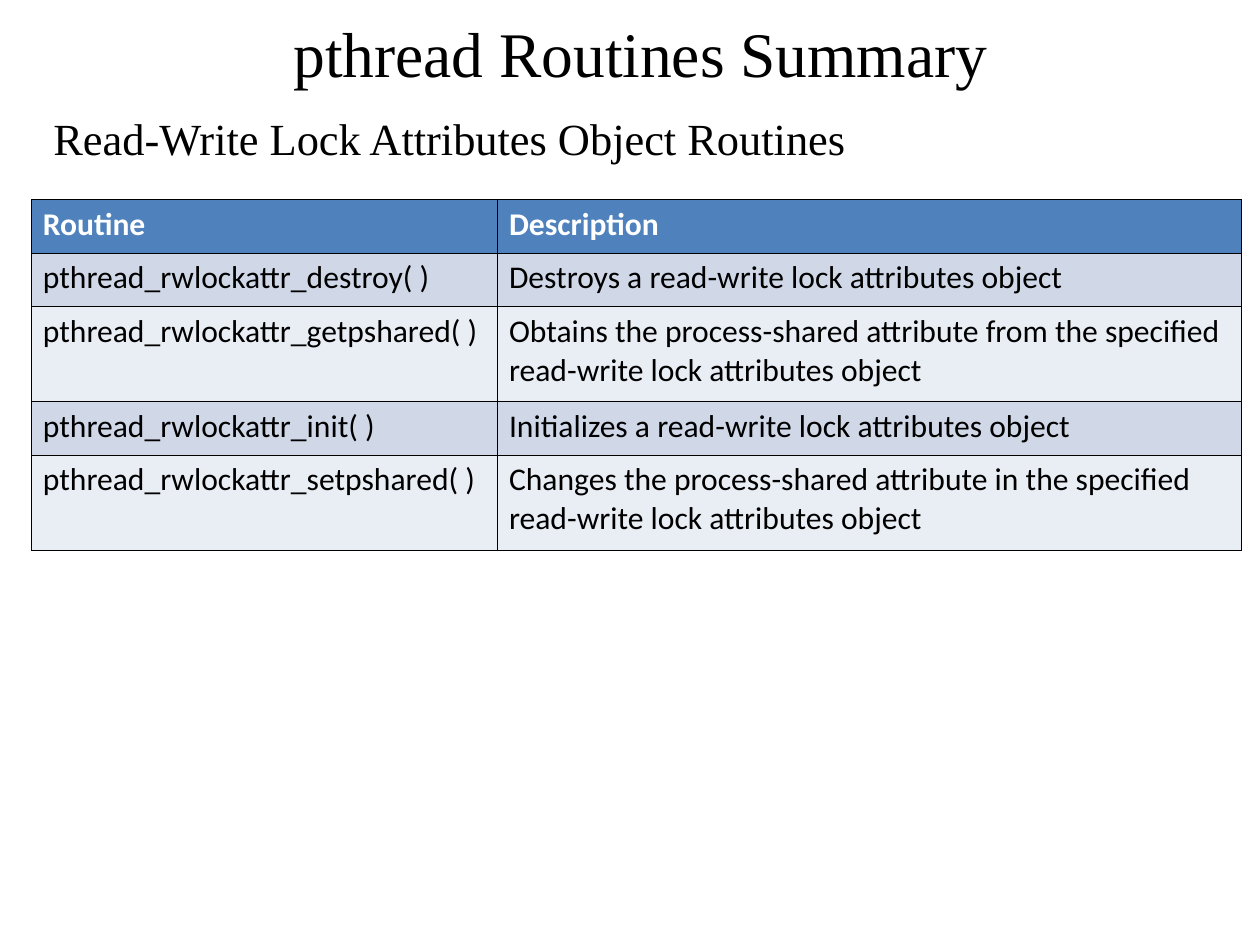
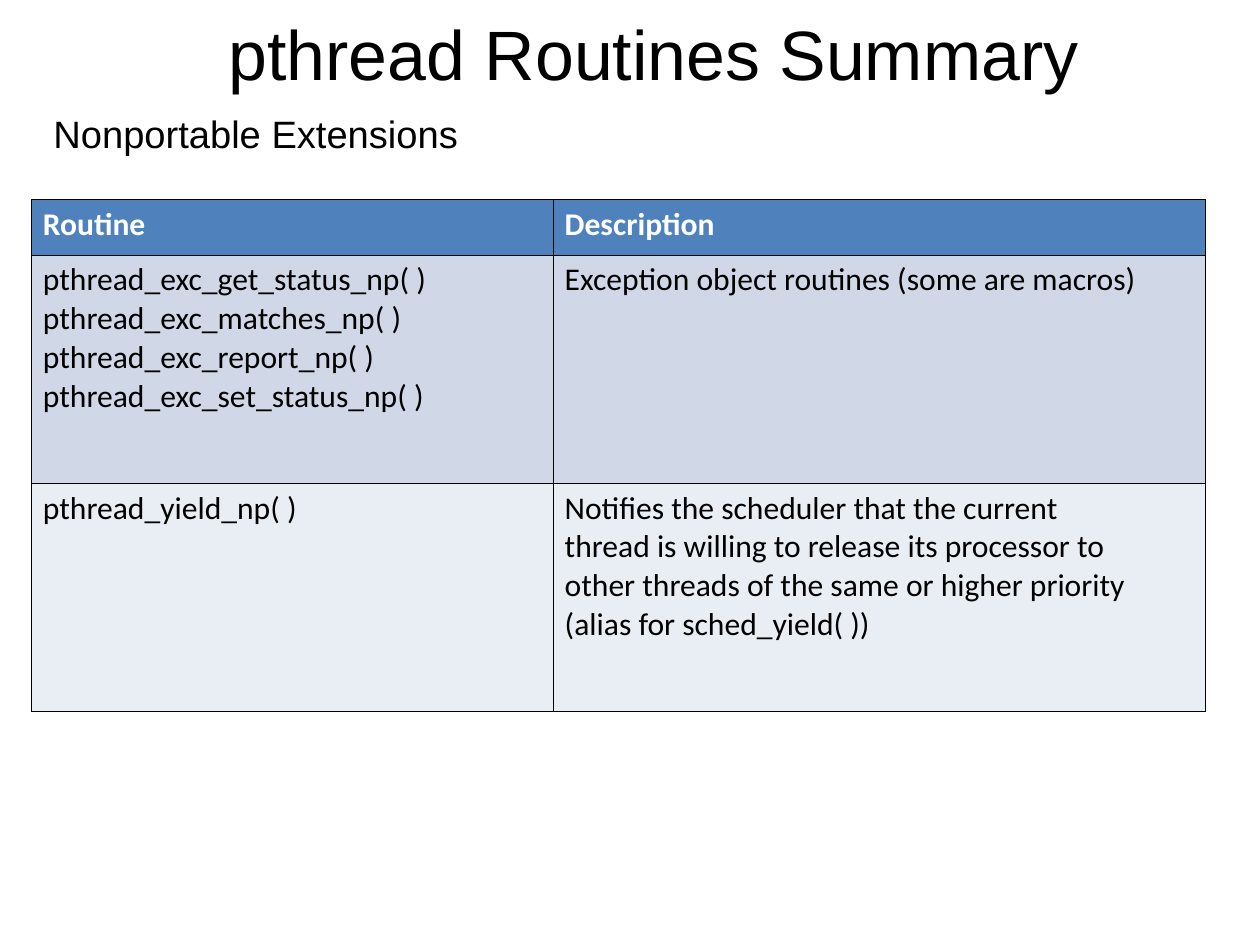
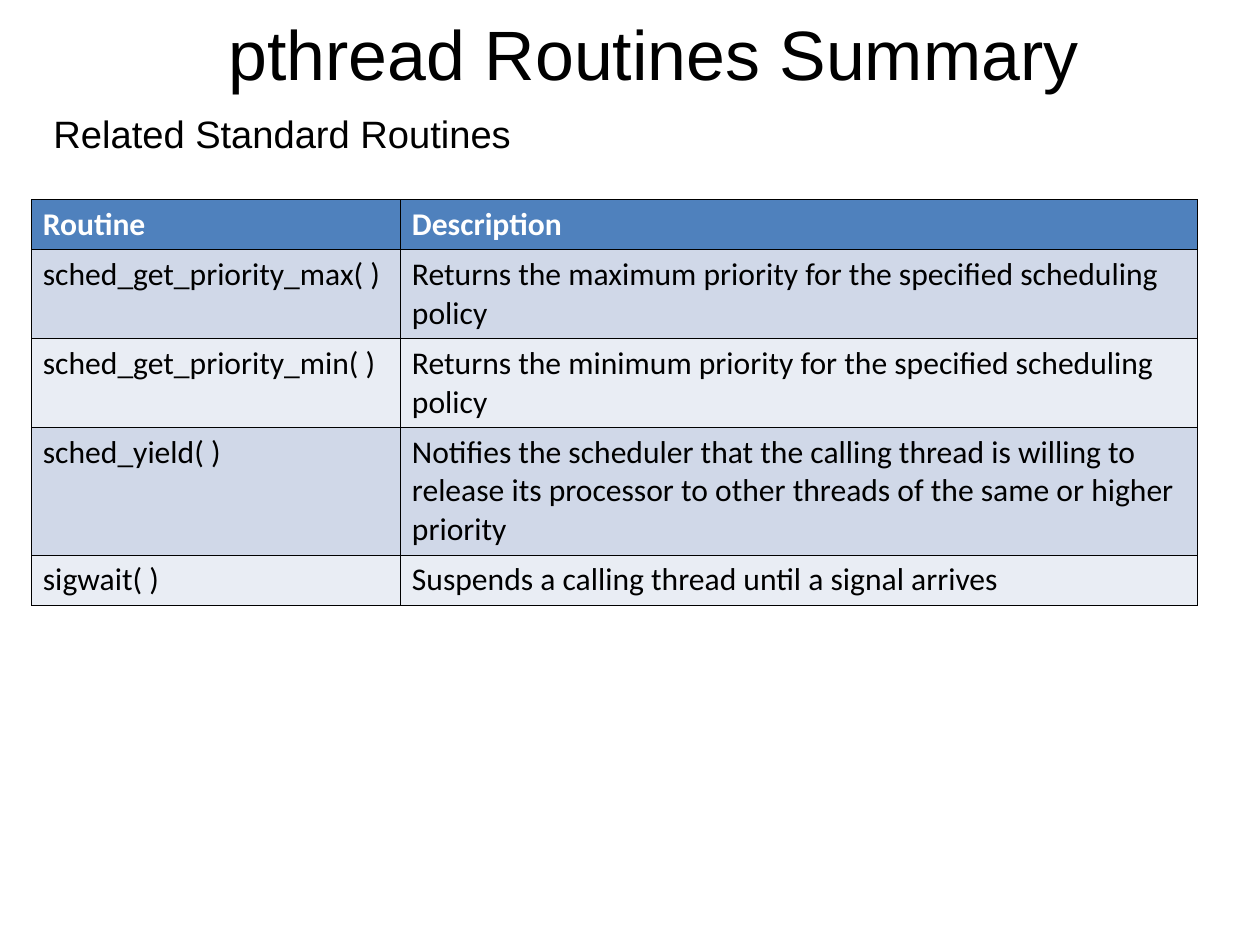
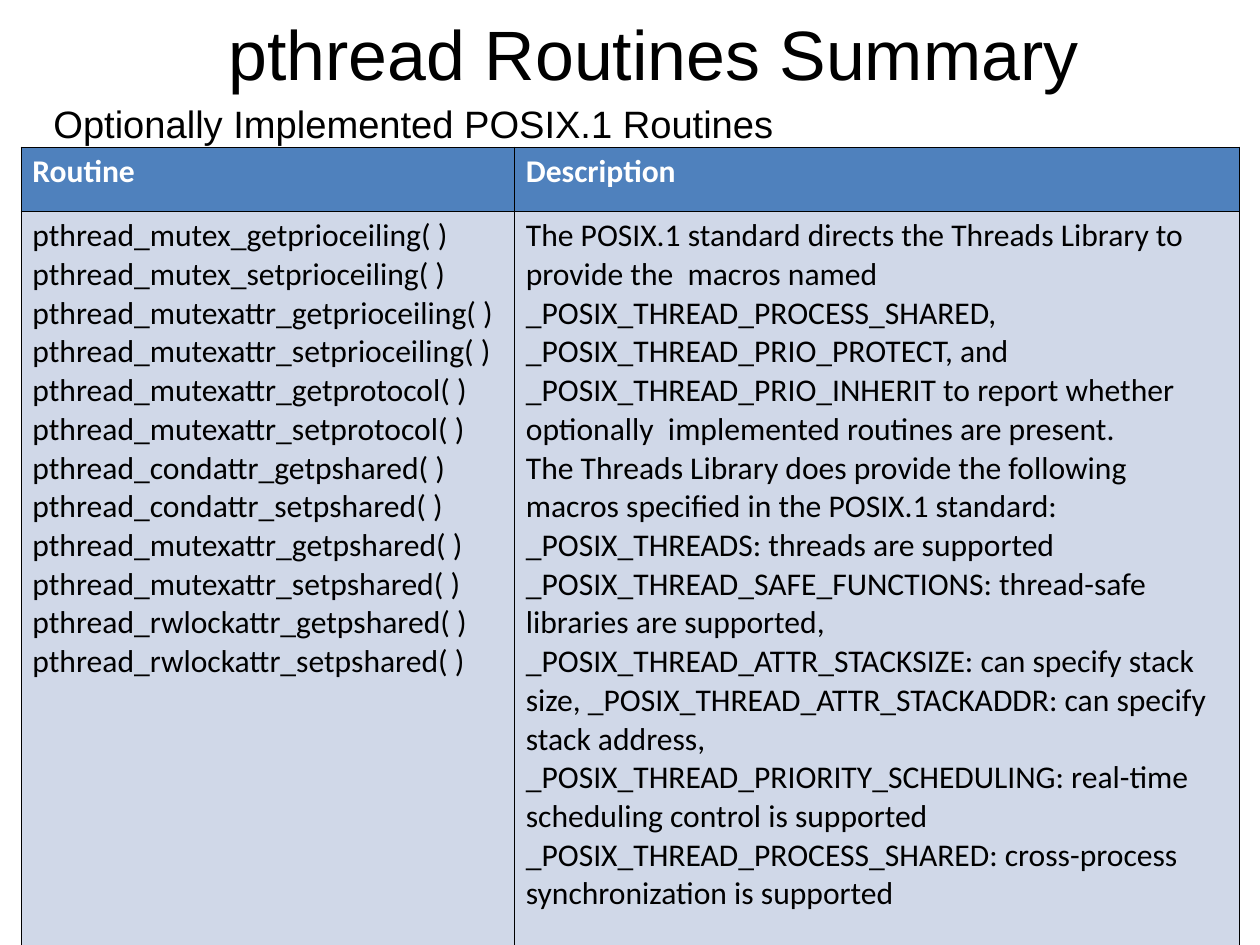
from lxml.etree import SubElement
from pptx import Presentation
from pptx.dml.color import RGBColor
from pptx.enum.text import MSO_ANCHOR, MSO_AUTO_SIZE, PP_ALIGN
from pptx.oxml import parse_xml
from pptx.oxml.ns import nsdecls, qn
from pptx.util import Inches, Pt

COLORS = {"text": "000000", "header_text": "FFFFFF", "border": "000000",
          "header": "4F81BD", "odd_row": "D0D8E8", "even_row": "E9EDF4"}
TITLE = "pthread Routines Summary"
HEADER = ("Routine", "Description")
SERIF = {"font": "Times New Roman", "title_size": 40, "subtitle_size": 28,
         "space_before": 7, "title_indent": 0}
SANS = {"font": "Arial", "title_size": 44, "subtitle_size": 24,
        "space_before": 6, "title_indent": 0.24}

# Every length below is counted in grid squares: the slide is 120 wide, 90 high.
SLIDE_WIDTH, SLIDE_HEIGHT = Pt(793.75), Pt(595.25)
SQUARE = SLIDE_HEIGHT / 90

sections = [
    {"subtitle": "Read-Write Lock Attributes Object Routines",
     "style": SERIF, "subtitle_top": 10, "table_at": (3, 19),
     "columns": (44.4, 70.85), "rows": (5.1, 5.1, 9.05, 5.1, 9.1),
     "routines": [
         ("pthread_rwlockattr_destroy( )",
          "Destroys a read-write lock attributes object"),
         ("pthread_rwlockattr_getpshared( )",
          "Obtains the process-shared attribute from the specified "
          "read-write lock attributes object"),
         ("pthread_rwlockattr_init( )",
          "Initializes a read-write lock attributes object"),
         ("pthread_rwlockattr_setpshared( )",
          "Changes the process-shared attribute in the specified "
          "read-write lock attributes object"),
     ]},
    {"subtitle": "Nonportable Extensions",
     "style": SANS, "subtitle_top": 10, "table_at": (3, 19),
     "columns": (49.7, 62.15), "rows": (5.3, 21.75, 21.75),
     "routines": [
         ("pthread_exc_get_status_np( )\n"
          "pthread_exc_matches_np( )\n"
          "pthread_exc_report_np( )\n"
          "pthread_exc_set_status_np( )",
          "Exception object routines (some are macros)"),
         ("pthread_yield_np( )",
          "Notifies the scheduler that the current\n"
          "thread is willing to release its processor to\n"
          "other threads of the same or higher priority\n"
          "(alias for sched_yield( ))"),
     ]},
    {"subtitle": "Related Standard Routines",
     "style": SANS, "subtitle_top": 10, "table_at": (3, 19),
     "columns": (35.15, 75.85), "rows": (4.75, 8.45, 8.45, 12.15, 4.75),
     "routines": [
         ("sched_get_priority_max( )",
          "Returns the maximum priority for the specified scheduling policy"),
         ("sched_get_priority_min( )",
          "Returns the minimum priority for the specified scheduling policy"),
         ("sched_yield( )",
          "Notifies the scheduler that the calling thread is willing to "
          "release its processor to other threads of the same or higher "
          "priority"),
         ("sigwait( )", "Suspends a calling thread until a signal arrives"),
     ]},
    {"subtitle": "Optionally Implemented POSIX.1 Routines",
     "style": SANS, "subtitle_top": 9, "table_at": (2, 14),
     "columns": (47, 69), "rows": (6.1, 87),
     "routines": [
         ("pthread_mutex_getprioceiling( )\n"
          "pthread_mutex_setprioceiling( )\n"
          "pthread_mutexattr_getprioceiling( )\n"
          "pthread_mutexattr_setprioceiling( )\n"
          "pthread_mutexattr_getprotocol( )\n"
          "pthread_mutexattr_setprotocol( )\n"
          "pthread_condattr_getpshared( )\n"
          "pthread_condattr_setpshared( )\n"
          "pthread_mutexattr_getpshared( )\n"
          "pthread_mutexattr_setpshared( )\n"
          "pthread_rwlockattr_getpshared( )\n"
          "pthread_rwlockattr_setpshared( )",
          "The POSIX.1 standard directs the Threads Library to provide the  "
          "macros named _POSIX_THREAD_PROCESS_SHARED, "
          "_POSIX_THREAD_PRIO_PROTECT, and _POSIX_THREAD_PRIO_INHERIT to "
          "report whether optionally  implemented routines are present.\n"
          "The Threads Library does provide the following macros specified "
          "in the POSIX.1 standard:\n"
          "_POSIX_THREADS: threads are supported\n"
          "_POSIX_THREAD_SAFE_FUNCTIONS: thread-safe libraries are "
          "supported, _POSIX_THREAD_ATTR_STACKSIZE: can specify stack size, "
          "_POSIX_THREAD_ATTR_STACKADDR: can specify stack address, "
          "_POSIX_THREAD_PRIORITY_SCHEDULING: real-time scheduling control "
          "is supported\n"
          "_POSIX_THREAD_PROCESS_SHARED: cross-process  synchronization is "
          "supported"),
     ]},
]


def fill_placeholder(holder, text, box, font, size, anchor, margin, indent):
    """Place a placeholder on the grid and give it one unbulleted paragraph."""
    holder.left, holder.top, holder.width, holder.height = (
        round(squares * SQUARE) for squares in box)
    frame = holder.text_frame
    frame.text = text
    frame.word_wrap = True
    frame.auto_size = MSO_AUTO_SIZE.NONE
    frame.vertical_anchor = anchor
    paragraph = frame.paragraphs[0]
    properties = paragraph._p.get_or_add_pPr()
    properties.set("marL", str(Inches(margin)))
    properties.set("indent", str(Inches(indent)))
    SubElement(properties, qn("a:buNone"))
    run_font = paragraph.runs[0].font
    run_font.name, run_font.size = font, Pt(size)
    run_font.color.rgb = RGBColor.from_string(COLORS["text"])
    return paragraph


def format_cell(cell, text, fill, color, bold):
    cell.text_frame.text = text
    cell.fill.solid()
    cell.fill.fore_color.rgb = RGBColor.from_string(fill)
    for paragraph in cell.text_frame.paragraphs:
        for run in paragraph.runs:
            run.font.name, run.font.size = "Calibri", Pt(19.9)
            run.font.bold = bold
            run.font.color.rgb = RGBColor.from_string(color)
    for position, side in enumerate(("lnL", "lnR", "lnT", "lnB")):
        cell._tc.get_or_add_tcPr().insert(position, parse_xml(
            f'<a:{side} {nsdecls("a")} w="{Pt(0.45)}"><a:solidFill>'
            f'<a:srgbClr val="{COLORS["border"]}"/></a:solidFill></a:{side}>'))


presentation = Presentation()
presentation.slide_width, presentation.slide_height = SLIDE_WIDTH, SLIDE_HEIGHT

for section in sections:
    slide = presentation.slides.add_slide(presentation.slide_layouts[1])
    style = section["style"]

    heading = fill_placeholder(
        slide.shapes.title, TITLE, (7, 0, 108, 10), style["font"],
        style["title_size"], MSO_ANCHOR.MIDDLE, style["title_indent"], 0)
    heading.alignment = PP_ALIGN.CENTER
    subtitle = fill_placeholder(
        slide.placeholders[1], section["subtitle"],
        (4, section["subtitle_top"], 108, 7), style["font"],
        style["subtitle_size"], MSO_ANCHOR.TOP, 0.37, -0.37)
    subtitle.space_before = Pt(style["space_before"])

    columns, rows = section["columns"], section["rows"]
    left, top, width, height = (
        round(squares * SQUARE)
        for squares in (*section["table_at"], sum(columns), sum(rows)))
    table = slide.shapes.add_table(
        len(rows), len(columns), left, top, width, height).table
    for column, squares in zip(table.columns, columns):
        column.width = round(squares * SQUARE)
    for row, squares in zip(table.rows, rows):
        row.height = round(squares * SQUARE)

    for number, texts in enumerate([HEADER, *section["routines"]]):
        is_header = number == 0
        band = "header" if is_header else "odd_row" if number % 2 else "even_row"
        ink = COLORS["header_text" if is_header else "text"]
        for cell, text in zip(table.rows[number].cells, texts):
            format_cell(cell, text, COLORS[band], ink, is_header)

presentation.save("out.pptx")
